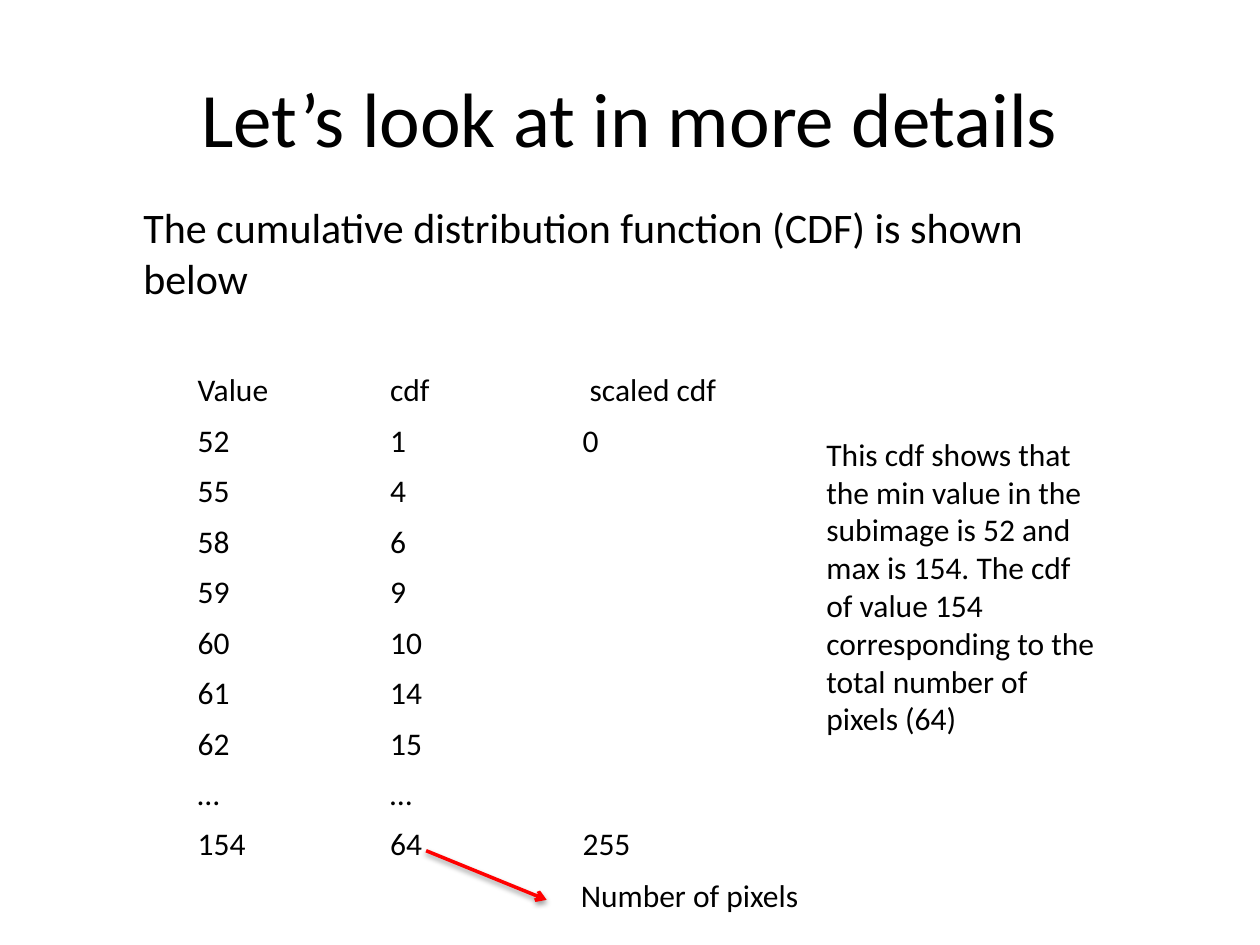
import dataclasses

import pptx
import pptx.dml.color
import pptx.enum.shapes
import pptx.enum.text
import pptx.oxml
import pptx.oxml.ns
import pptx.util

Cm = pptx.util.Cm
Pt = pptx.util.Pt
Align = pptx.enum.text.PP_ALIGN
Anchor = pptx.enum.text.MSO_ANCHOR

BLACK = pptx.dml.color.RGBColor(0x00, 0x00, 0x00)
RED = pptx.dml.color.RGBColor(0xFF, 0x00, 0x00)
FONT = "Calibri"

ROWS = [
    ("Value", "cdf", " scaled cdf"),
    ("52", "1", "0"),
    ("55", "4", ""),
    ("58", "6", ""),
    ("59", "9", ""),
    ("60", "10", ""),
    ("61", "14", ""),
    ("62", "15", ""),
    ("…", "…", ""),
    ("154", "64", "255"),
]


@dataclasses.dataclass
class Note:
    text: str
    left: float
    top: float
    width: float
    height: float
    size: int = 18


INTRO = Note("The cumulative distribution function (CDF) is shown below",
             2.64, 3.94, 19.3, 2.31, 24)
COUNT = Note("Number of pixels", 11.46, 17.53, 4.95, 1.02)
RANGE = Note("This cdf shows that the min value in the subimage is 52 and max is 154. "
             "The cdf of value 154 corresponding to the total number of pixels (64)",
             16.41, 8.64, 6.07, 6.4)


def write(frame, text: str, *, size: int = 18, color=BLACK, align=Align.LEFT) -> None:
    para = frame.paragraphs[0]
    para.alignment = align
    para.font.size = Pt(size)
    if text:
        run = para.add_run()
        run.text = text
        run.font.name = FONT
        run.font.size = Pt(size)
        run.font.color.rgb = color


def add_title(slide, text: str) -> None:
    title = slide.shapes.title
    title.left, title.top = Cm(1.27), Cm(0.76)
    title.width, title.height = Cm(22.86), Cm(3.18)
    title.text_frame.vertical_anchor = Anchor.MIDDLE
    write(title.text_frame, text, size=44, align=Align.CENTER)


def add_note(slide, note: Note) -> None:
    box = slide.shapes.add_textbox(Cm(note.left), Cm(note.top),
                                   Cm(note.width), Cm(note.height))
    box.text_frame.word_wrap = True
    box.text_frame.auto_size = pptx.enum.text.MSO_AUTO_SIZE.SHAPE_TO_FIT_TEXT
    write(box.text_frame, note.text, size=note.size)


def add_grid(slide, rows: list) -> None:
    high = Cm(0.94)
    frame = slide.shapes.add_table(len(rows), len(rows[0]), Cm(3.73), Cm(7.37),
                                   Cm(11.64), high * len(rows))
    table = frame.table
    table.first_row = False
    table.horz_banding = False
    for r, row in enumerate(rows):
        table.rows[r].height = high
        for c, text in enumerate(row):
            cell = table.cell(r, c)
            cell.fill.background()
            write(cell.text_frame, text)


def add_arrow(slide) -> None:
    arrow = slide.shapes.add_connector(pptx.enum.shapes.MSO_CONNECTOR.STRAIGHT,
                                       Cm(8.59), Cm(17.15), Cm(11.02), Cm(18.14))
    arrow.line.color.rgb = RED
    arrow.line.width = Pt(2)
    space = pptx.oxml.ns.nsdecls("a")
    arrow.line._get_or_add_ln().append(
        pptx.oxml.parse_xml(f'<a:tailEnd {space} type="arrow"/>'))
    arrow._element.spPr.append(pptx.oxml.parse_xml(
        f'<a:effectLst {space}><a:outerShdw blurRad="40000" dist="20000" '
        'dir="5400000" rotWithShape="0"><a:srgbClr val="000000">'
        '<a:alpha val="38000"/></a:srgbClr></a:outerShdw></a:effectLst>'))


def main() -> None:
    deck = pptx.Presentation()
    deck.slide_width, deck.slide_height = Cm(25.4), Cm(19.05)
    slide = deck.slides.add_slide(deck.slide_layouts[5])
    add_title(slide, "Let’s look at in more details")
    add_note(slide, INTRO)
    add_grid(slide, ROWS)
    add_arrow(slide)
    add_note(slide, COUNT)
    add_note(slide, RANGE)
    deck.save("out.pptx")


if __name__ == "__main__":
    main()
